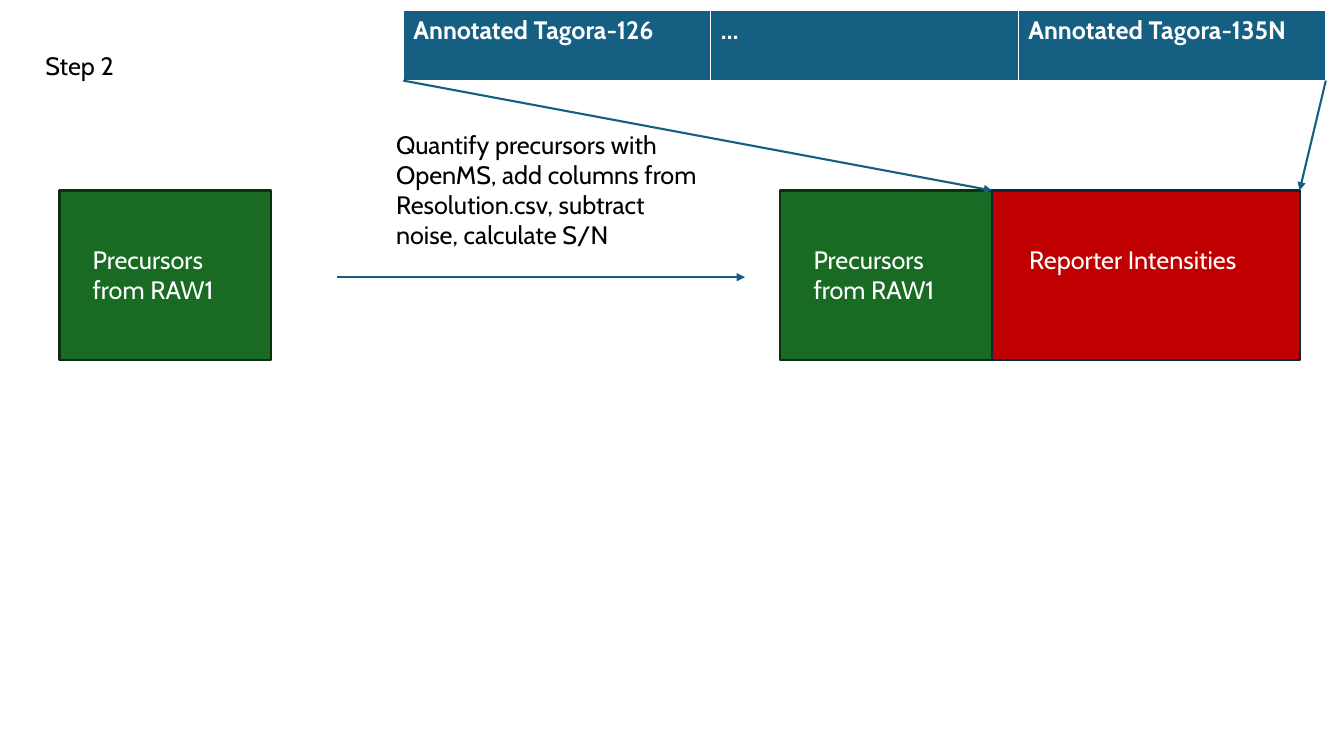
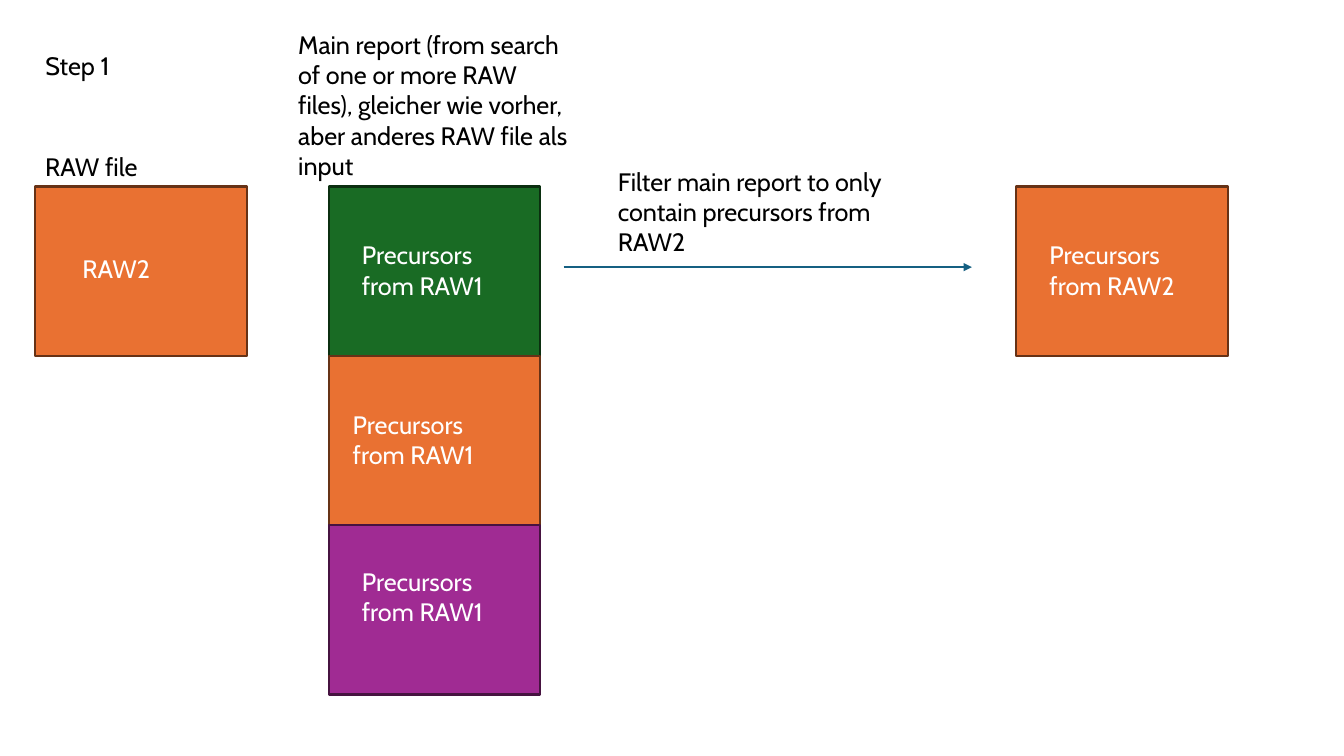
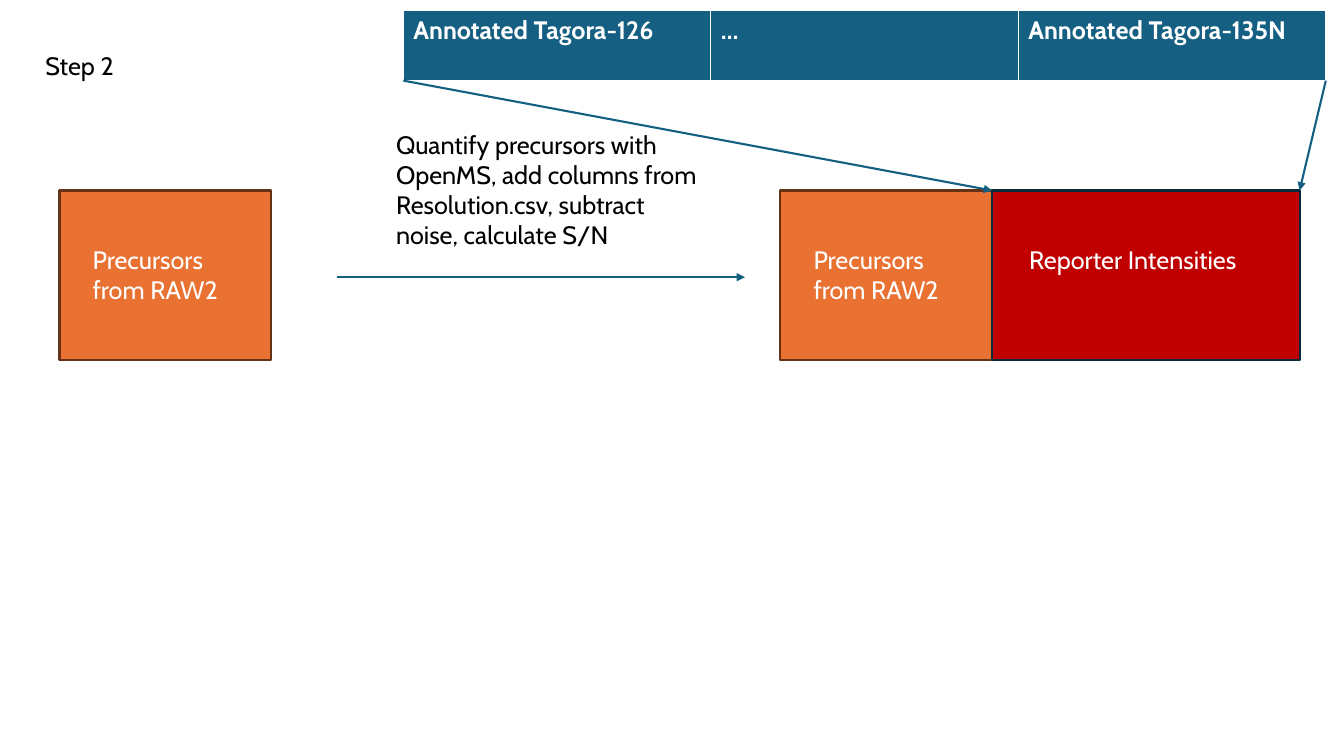
from typing import NamedTuple

from lxml.etree import SubElement
from pptx import Presentation
from pptx.dml.color import RGBColor
from pptx.enum.shapes import MSO_CONNECTOR, MSO_SHAPE
from pptx.enum.text import MSO_ANCHOR, MSO_AUTO_SIZE, PP_ALIGN
from pptx.oxml.ns import qn
from pptx.slide import Slide
from pptx.text.text import TextFrame
from pptx.util import Inches, Pt

COLORS = {
    "black": "000000", "white": "FFFFFF", "blue": "156082",
    "green": "196B24", "green edge": "0B2F10",
    "orange": "E97132", "orange edge": "663216",
    "purple": "A02B93", "purple edge": "461340",
    "red": "C00000", "red edge": "092A39",
}
FONT = "Cabin"
SIZE = Pt(18)
STROKE = Pt(1.5)
BOX_W, BOX_H = 2.1, 1.68
PAD, LINE_H = 0.1, 0.3
RAW1 = "Precursors from RAW1"
RAW2 = "Precursors from RAW2"


class Note(NamedTuple):
    text: str
    left: float
    top: float
    width: float
    lines: int = 1
    color: str = "black"


class Box(NamedTuple):
    """A filled block whose label sits dx, dy from its corner."""
    text: str
    color: str
    left: float
    top: float
    width: float = BOX_W
    dx: float = 0.23
    dy: float = 0.48
    span: float = 1.81
    lines: int = 2


class Arrow(NamedTuple):
    x1: float
    y1: float
    x2: float
    y2: float


def shade(name: str) -> RGBColor:
    return RGBColor.from_string(COLORS[name])


def style(frame: TextFrame, text: str, color: str, bold: bool = False) -> None:
    frame.text = text
    para = frame.paragraphs[0]
    para.alignment = PP_ALIGN.LEFT
    para.font.name = FONT
    para.font.size = SIZE
    para.font.bold = bold
    para.font.color.rgb = shade(color)


def add_title(slide: Slide, text: str) -> None:
    title = slide.shapes.title
    title.left, title.top = Inches(0.35), Inches(0.45)
    title.width, title.height = Inches(2.9), Inches(PAD + LINE_H)
    frame = title.text_frame
    frame.vertical_anchor = MSO_ANCHOR.TOP
    frame.auto_size = MSO_AUTO_SIZE.SHAPE_TO_FIT_TEXT
    style(frame, text, "black")


def add_note(slide: Slide, note: Note) -> None:
    area = slide.shapes.add_textbox(
        Inches(note.left), Inches(note.top),
        Inches(note.width), Inches(PAD + LINE_H * note.lines))
    frame = area.text_frame
    frame.word_wrap = True
    frame.auto_size = MSO_AUTO_SIZE.SHAPE_TO_FIT_TEXT
    style(frame, note.text, note.color)


def add_box(slide: Slide, box: Box) -> None:
    rect = slide.shapes.add_shape(
        MSO_SHAPE.RECTANGLE, Inches(box.left), Inches(box.top),
        Inches(box.width), Inches(BOX_H))
    rect.shadow.inherit = False
    rect.fill.solid()
    rect.fill.fore_color.rgb = shade(box.color)
    rect.line.color.rgb = shade(f"{box.color} edge")
    rect.line.width = STROKE
    add_note(slide, Note(box.text, box.left + box.dx, box.top + box.dy,
                         box.span, box.lines, "white"))


def add_arrow(slide: Slide, arrow: Arrow) -> None:
    link = slide.shapes.add_connector(
        MSO_CONNECTOR.STRAIGHT, *(Inches(value) for value in arrow))
    link.line.color.rgb = shade("blue")
    link.line.width = STROKE
    SubElement(link.line._ln, qn("a:tailEnd"), type="triangle")
    SubElement(link._element.spPr, qn("a:effectLst"))


def add_header(slide: Slide, left: float, top: float,
               width: float, height: float) -> None:
    names = ("Annotated Tagora-126", "…", "Annotated Tagora-135N")
    table = slide.shapes.add_table(
        1, len(names), Inches(left), Inches(top),
        Inches(width), Inches(height)).table
    for cell, name in zip(table.rows[0].cells, names):
        cell.fill.solid()
        cell.fill.fore_color.rgb = shade("blue")
        style(cell.text_frame, name, "white", bold=True)


def add_filter(slide: Slide) -> None:
    """Step 1: keep the precursors of one RAW file."""
    add_title(slide, "Step 1")
    top, stack = 1.85, 3.26
    boxes = (
        Box("RAW2", "orange", 0.35, top, dx=0.37, dy=0.61, span=0.97, lines=1),
        Box(RAW1, "green", stack, top),
        Box(RAW1, "orange", stack, top + BOX_H, dx=0.14),
        Box(RAW1, "purple", stack, top + 2 * BOX_H, dy=0.36),
        Box(RAW2, "orange", 10.08, top),
    )
    notes = (
        Note("RAW file", 0.35, 1.45, BOX_W),
        Note("Filter main report to only contain precursors from RAW2",
             6.03, 1.6, 3.37, 3),
        Note("Main report (from search of one or more RAW files), gleicher "
             "wie vorher, aber anderes RAW file als input",
             2.86, 0.24, 2.9, 5),
    )
    for box in boxes:
        add_box(slide, box)
    for note in notes:
        add_note(slide, note)
    add_arrow(slide, Arrow(5.59, 2.65, 9.64, 2.65))


def add_quant(slide: Slide, text: str, color: str) -> None:
    """Step 2: extend the precursors with reporter intensities."""
    add_title(slide, "Step 2")
    top, wide = 1.89, 3.05
    left = 7.74
    mid = left + BOX_W
    head, head_y, head_w, head_h = 4, 0.1, 3 * wide, 0.7
    base = head_y + head_h
    boxes = (
        Box(text, color, 0.59, top),
        Box(text, color, left, top),
        Box("Reporter Intensities", "red", mid, top, wide,
            dx=0.27, span=2.4, lines=1),
    )
    arrows = (
        Arrow(3.34, 2.75, 7.39, 2.75),
        Arrow(head, base, mid, top),
        Arrow(head + head_w, base, mid + wide, top),
    )
    for box in boxes:
        add_box(slide, box)
    add_note(slide, Note(
        "Quantify precursors with OpenMS, add columns from Resolution.csv, "
        "subtract noise, calculate S/N", 3.83, 1.23, 3.29, 4))
    add_header(slide, head, head_y, head_w, head_h)
    for arrow in arrows:
        add_arrow(slide, arrow)


def main() -> None:
    deck = Presentation()
    deck.slide_width, deck.slide_height = Inches(13.33), Inches(7.5)
    layout = deck.slide_layouts.get_by_name("Title Only")
    add_quant(deck.slides.add_slide(layout), RAW1, "green")
    add_filter(deck.slides.add_slide(layout))
    add_quant(deck.slides.add_slide(layout), RAW2, "orange")
    deck.save("out.pptx")


if __name__ == "__main__":
    main()
